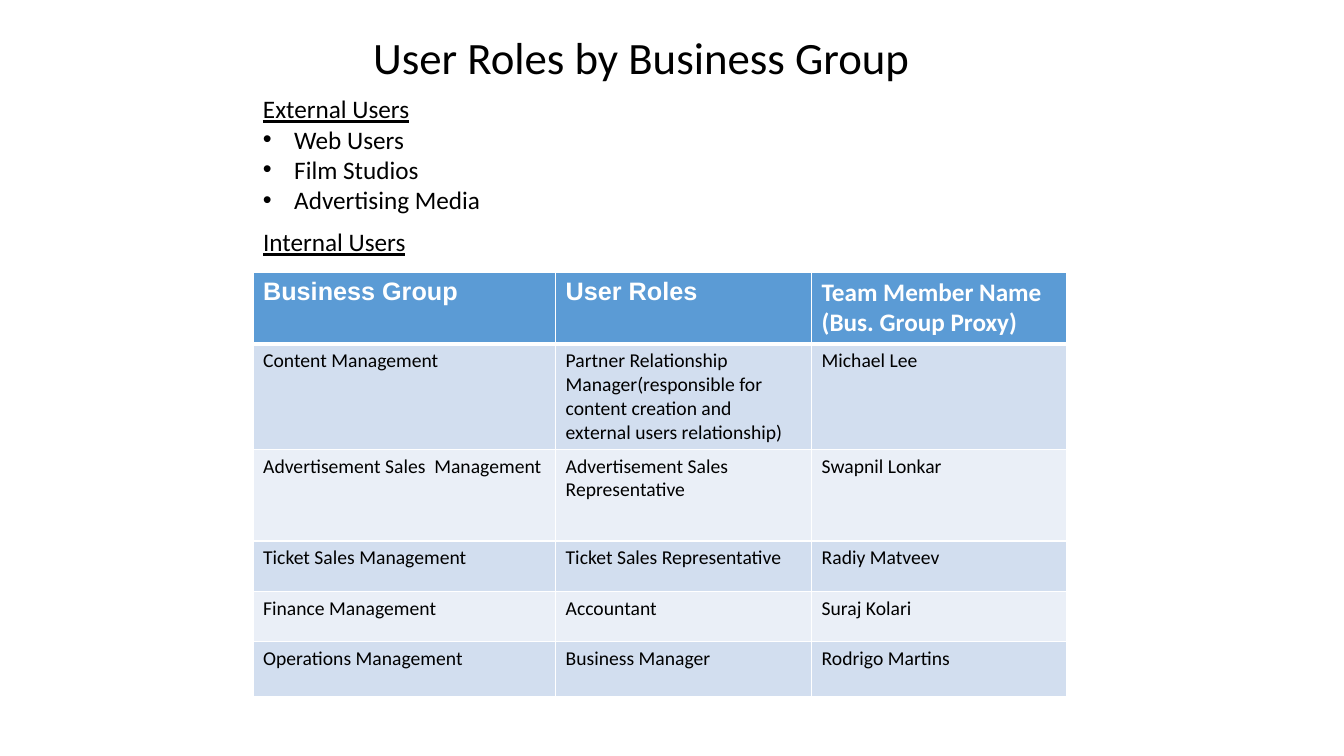
import dataclasses

import lxml.etree
import pptx
import pptx.dml.color
import pptx.enum.text
import pptx.oxml.ns
import pptx.util


@dataclasses.dataclass(frozen=True)
class Theme:
    text: str = "000000"
    light: str = "FFFFFF"
    header: str = "5B9BD5"
    bands: tuple = ("D2DEEF", "EAEFF7")
    body_font: str = "Calibri"
    header_font: str = "Arial"
    title_size: int = 32
    heading_size: int = 18
    cell_size: int = 14
    thin_line: int = 1
    thick_line: int = 3


THEME = Theme()
SLIDE_WIDTH = pptx.util.Inches(13.33)
SLIDE_HEIGHT = pptx.util.Inches(7.5)
LEFT_EDGE = 18.83
COLUMN_SHARES = (22.51, 19.05, 18.98)
ROW_SHARES = (8.8, 13.07, 12.13, 6.67, 6.67, 7.2)
HEADERS = ("Business Group", "User Roles", "Team Member Name\n(Bus. Group Proxy)")
ROLES = (
    (
        "Content Management",
        "Partner Relationship Manager(responsible for content creation and external users relationship)",
        "Michael Lee",
    ),
    ("Advertisement Sales  Management", "Advertisement Sales Representative", "Swapnil Lonkar"),
    ("Ticket Sales Management", "Ticket Sales Representative", "Radiy Matveev"),
    ("Finance Management", "Accountant", "Suraj Kolari"),
    ("Operations Management", "Business Manager", "Rodrigo Martins"),
)


def across(percent):
    return round(SLIDE_WIDTH * percent / 100)


def down(percent):
    return round(SLIDE_HEIGHT * percent / 100)


def box(left, top, width, height):
    return across(left), down(top), across(width), down(height)


def style(paragraph, size, color=THEME.text, font=THEME.body_font, bold=False, underline=False):
    paragraph.font.size = pptx.util.Pt(size)
    paragraph.font.name = font
    paragraph.font.bold = bold
    paragraph.font.underline = underline
    paragraph.font.color.rgb = pptx.dml.color.RGBColor.from_string(color)


def add_bullet(paragraph):
    indent = pptx.util.Inches(0.31)
    properties = paragraph._p.get_or_add_pPr()
    properties.set("marL", str(indent))
    properties.set("indent", str(-indent))
    font = lxml.etree.Element(pptx.oxml.ns.qn("a:buFont"), typeface=THEME.header_font)
    bullet = lxml.etree.Element(pptx.oxml.ns.qn("a:buChar"), char="•")
    properties.insert(0, font)
    properties.insert(1, bullet)


def set_title(slide, text, bounds):
    title = slide.shapes.title
    title.left, title.top, title.width, title.height = bounds
    frame = title.text_frame
    frame.text = text
    frame.word_wrap = False
    frame.auto_size = pptx.enum.text.MSO_AUTO_SIZE.NONE
    frame.vertical_anchor = pptx.enum.text.MSO_ANCHOR.TOP
    paragraph = frame.paragraphs[0]
    paragraph.alignment = pptx.enum.text.PP_ALIGN.LEFT
    paragraph.line_spacing = 1.0
    style(paragraph, THEME.title_size)


def add_user_list(slide, heading, items, bounds):
    frame = slide.shapes.add_textbox(*bounds).text_frame
    frame.word_wrap = False
    frame.text = "\n".join((heading, *items))
    for index, paragraph in enumerate(frame.paragraphs):
        style(paragraph, THEME.heading_size, underline=index == 0)
        if index:
            add_bullet(paragraph)


def set_borders(cell, top, bottom):
    properties = cell._tc.get_or_add_tcPr()
    widths = {"L": THEME.thin_line, "R": THEME.thin_line, "T": top, "B": bottom}
    for index, (side, width) in enumerate(widths.items()):
        line = lxml.etree.Element(pptx.oxml.ns.qn(f"a:ln{side}"), w=str(pptx.util.Pt(width)))
        fill = lxml.etree.SubElement(line, pptx.oxml.ns.qn("a:solidFill"))
        lxml.etree.SubElement(fill, pptx.oxml.ns.qn("a:srgbClr"), val=THEME.light)
        properties.insert(index, line)


def fill_cell(cell, text, row, column):
    cell.text = text
    cell.fill.solid()
    is_header = row == 0
    color = THEME.header if is_header else THEME.bands[(row - 1) % 2]
    cell.fill.fore_color.rgb = pptx.dml.color.RGBColor.from_string(color)
    for paragraph in cell.text_frame.paragraphs:
        if is_header:
            font = THEME.header_font if column < 2 else THEME.body_font
            style(paragraph, THEME.heading_size, THEME.light, font, bold=True)
        else:
            style(paragraph, THEME.cell_size)
    set_borders(
        cell,
        top=THEME.thick_line if row == 1 else THEME.thin_line,
        bottom=THEME.thick_line if is_header else THEME.thin_line,
    )


def add_role_table(slide, rows, top):
    bounds = box(LEFT_EDGE, top, sum(COLUMN_SHARES), sum(ROW_SHARES))
    table = slide.shapes.add_table(len(rows), len(COLUMN_SHARES), *bounds).table
    table.horz_banding = False
    for column, share in zip(table.columns, COLUMN_SHARES):
        column.width = across(share)
    for row, share in zip(table.rows, ROW_SHARES):
        row.height = down(share)
    for row, texts in enumerate(rows):
        for column, text in enumerate(texts):
            fill_cell(table.cell(row, column), text, row, column)


def main():
    presentation = pptx.Presentation()
    presentation.slide_width = SLIDE_WIDTH
    presentation.slide_height = SLIDE_HEIGHT
    slide = presentation.slides.add_slide(presentation.slide_layouts.get_by_name("Title Only"))
    set_title(slide, "User Roles by Business Group", box(27.01, 3.2, 41.79, 8.53))
    add_role_table(slide, (HEADERS, *ROLES), top=36)
    add_user_list(
        slide,
        "External Users",
        ("Web Users", "Film Studios", "Advertising Media"),
        box(LEFT_EDGE, 11.73, 17.85, 17.47),
    )
    add_user_list(slide, "Internal Users", (), box(LEFT_EDGE, 29.33, 12.23, 5.33))
    presentation.save("out.pptx")


if __name__ == "__main__":
    main()
